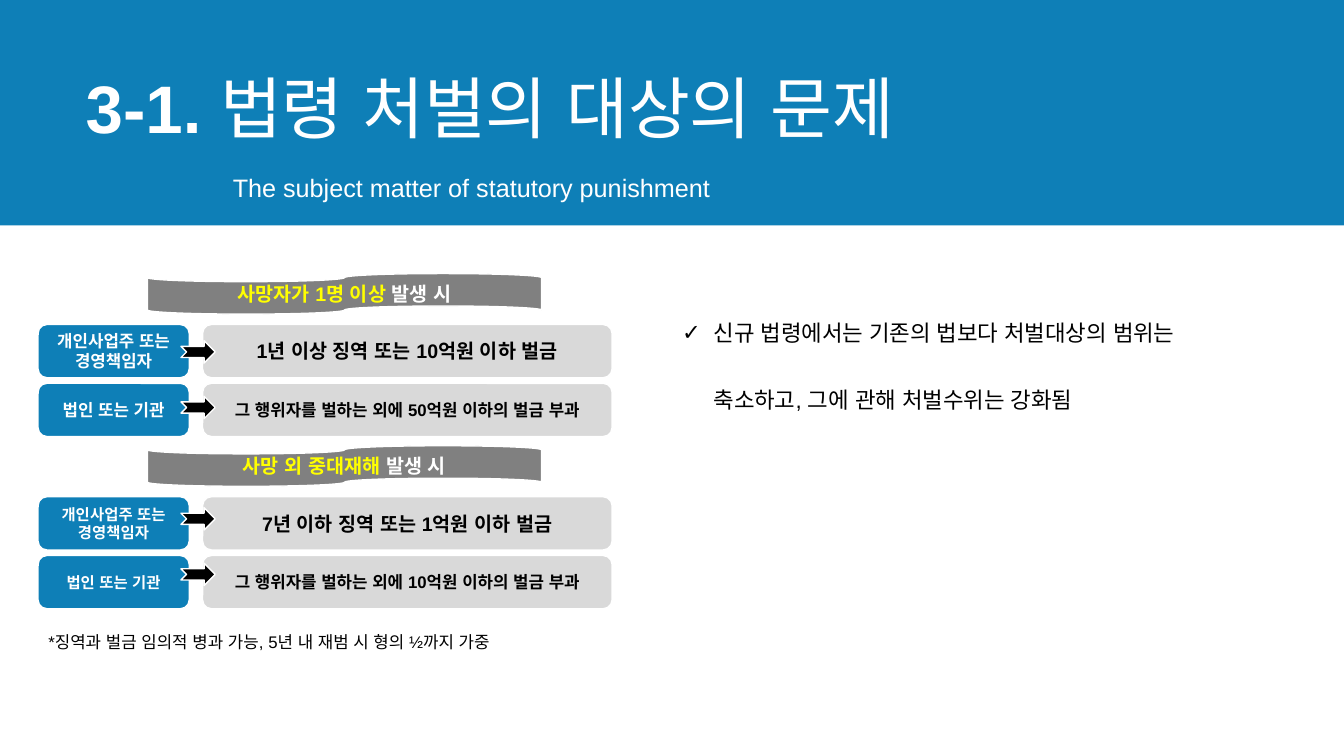
"""Build the slide on who is punished under the statute."""
from lxml.etree import SubElement
from pptx import Presentation
from pptx.dml.color import RGBColor
from pptx.enum.shapes import MSO_SHAPE
from pptx.enum.text import MSO_ANCHOR, MSO_AUTO_SIZE, PP_ALIGN
from pptx.oxml.ns import qn
from pptx.util import Pt

COLORS = {"blue": "0E7FB7", "gray": "808080", "light": "D9D9D9",
          "white": "FFFFFF", "black": "000000", "yellow": "FFFF00"}
FONT = "Arial"
TITLE = [("3-1.", "white", True), (" 법령 처벌의 대상의 문제", "white", False)]
SUBTITLE = [("The subject matter of statutory punishment", "white", False)]
SUMMARY = [("신규 법령에서는 기존의 법보다 처벌대상의 범위는 축소하고, "
            "그에 관해 처벌수위는 강화됨", "black", False)]
NOTE = [("*징역과 벌금 임의적 병과 가능, 5년 내 재범 시 형의 ½까지 가중", "black", False)]
SUBJECTS = ["개인사업주 또는 경영책임자", "법인 또는 기관"]
CASES = [
    {"condition": "사망자가 1명 이상 ", "subject_size": 12, "arrow_offset": 48,
     "penalties": ["1년 이상 징역 또는 10억원 이하 벌금",
                   "그 행위자를 벌하는 외에 50억원 이하의 벌금 부과"]},
    {"condition": "사망 외 중대재해 ", "subject_size": 11, "arrow_offset": 44.2,
     "penalties": ["7년 이하 징역 또는 1억원 이하 벌금",
                   "그 행위자를 벌하는 외에 10억원 이하의 벌금 부과"]},
]
PENALTY_SIZES = [14, 12]
CASE_TOP, CASE_PITCH = 195.4, 123
ROW_OFFSET, ROW_PITCH, ROW_HEIGHT = 36.4, 42, 38
ARROW_PITCH = 39.7


def color(name):
    return RGBColor.from_string(COLORS[name])


def place(shape, left, top, width, height):
    shape.left, shape.top = Pt(left), Pt(top)
    shape.width, shape.height = Pt(width), Pt(height)


def write(shape, runs, size, align=PP_ALIGN.LEFT, anchor=MSO_ANCHOR.TOP):
    frame = shape.text_frame
    frame.word_wrap = True
    frame.auto_size = MSO_AUTO_SIZE.NONE
    frame.vertical_anchor = anchor
    paragraph = frame.paragraphs[0]
    paragraph.alignment = align
    paragraph.space_before = Pt(0)
    for text, color_name, bold in runs:
        run = paragraph.add_run()
        run.text = text
        run.font.name = FONT
        run.font.size = Pt(size)
        run.font.bold = bold
        run.font.color.rgb = color(color_name)
        SubElement(run._r.get_or_add_rPr(), qn("a:ea"), typeface=FONT)
    return paragraph


def add_box(slide, kind, box, fill=None, line="white", line_width=1):
    shape = slide.shapes.add_shape(kind, *map(Pt, box))
    shape.shadow.inherit = False
    if fill:
        shape.fill.solid()
        shape.fill.fore_color.rgb = color(fill)
    else:
        shape.fill.background()
    if line:
        shape.line.color.rgb = color(line)
        shape.line.width = Pt(line_width)
    else:
        shape.line.fill.background()
    return shape


def add_label(slide, kind, box, fill, runs, size):
    shape = add_box(slide, kind, box, fill)
    write(shape, runs, size, PP_ALIGN.CENTER, MSO_ANCHOR.MIDDLE)


def add_header(slide):
    band = add_box(slide, MSO_SHAPE.RECTANGLE, (0, 0, 960, 161), "blue", None)
    slide.shapes.element.insert(2, band.element)
    place(slide.shapes.title, 54, 44, 809, 65.5)
    write(slide.shapes.title, TITLE, 48)
    subtitle = slide.shapes.add_textbox(Pt(159.2), Pt(119.5), Pt(800), Pt(29))
    write(subtitle, SUBTITLE, 18)


def add_summary(slide):
    body = slide.placeholders[1]
    place(body, 480, 195.6, 424, 281.5)
    paragraph = write(body, SUMMARY, 16)
    paragraph.line_spacing = 2.5
    properties = paragraph._p.get_or_add_pPr()
    properties.set("marL", str(Pt(22.5)))
    properties.set("indent", str(Pt(-22.5)))
    SubElement(properties, qn("a:buFont"), typeface=FONT)
    SubElement(properties, qn("a:buChar"), char="✓")


def add_case(slide, case, top):
    add_label(slide, MSO_SHAPE.FLOWCHART_PUNCHED_TAPE, (105.3, top, 281.5, 29), "gray",
              [(case["condition"], "yellow", True), ("발생 시", "white", True)], 14)
    rows = zip(SUBJECTS, case["penalties"], PENALTY_SIZES)
    for index, (subject, penalty, penalty_size) in enumerate(rows):
        row_top = top + ROW_OFFSET + index * ROW_PITCH
        add_label(slide, MSO_SHAPE.ROUNDED_RECTANGLE, (27.2, row_top, 108, ROW_HEIGHT),
                  "blue", [(subject, "white", True)], case["subject_size"])
        add_label(slide, MSO_SHAPE.ROUNDED_RECTANGLE, (144.7, row_top, 292.5, ROW_HEIGHT),
                  "light", [(penalty, "black", True)], penalty_size)
        arrow_top = top + case["arrow_offset"] + index * ARROW_PITCH
        add_box(slide, MSO_SHAPE.NOTCHED_RIGHT_ARROW, (129.3, arrow_top, 24.5, 16), "black")


def main():
    presentation = Presentation()
    presentation.slide_width, presentation.slide_height = Pt(960), Pt(540)
    slide = presentation.slides.add_slide(presentation.slide_layouts[1])
    add_header(slide)
    add_summary(slide)
    for index, case in enumerate(CASES):
        add_case(slide, case, CASE_TOP + index * CASE_PITCH)
    note = add_box(slide, MSO_SHAPE.RECTANGLE, (27.4, 448, 373, 21.8), line_width=0.75)
    write(note, NOTE, 12)
    presentation.save("out.pptx")


if __name__ == "__main__":
    main()
